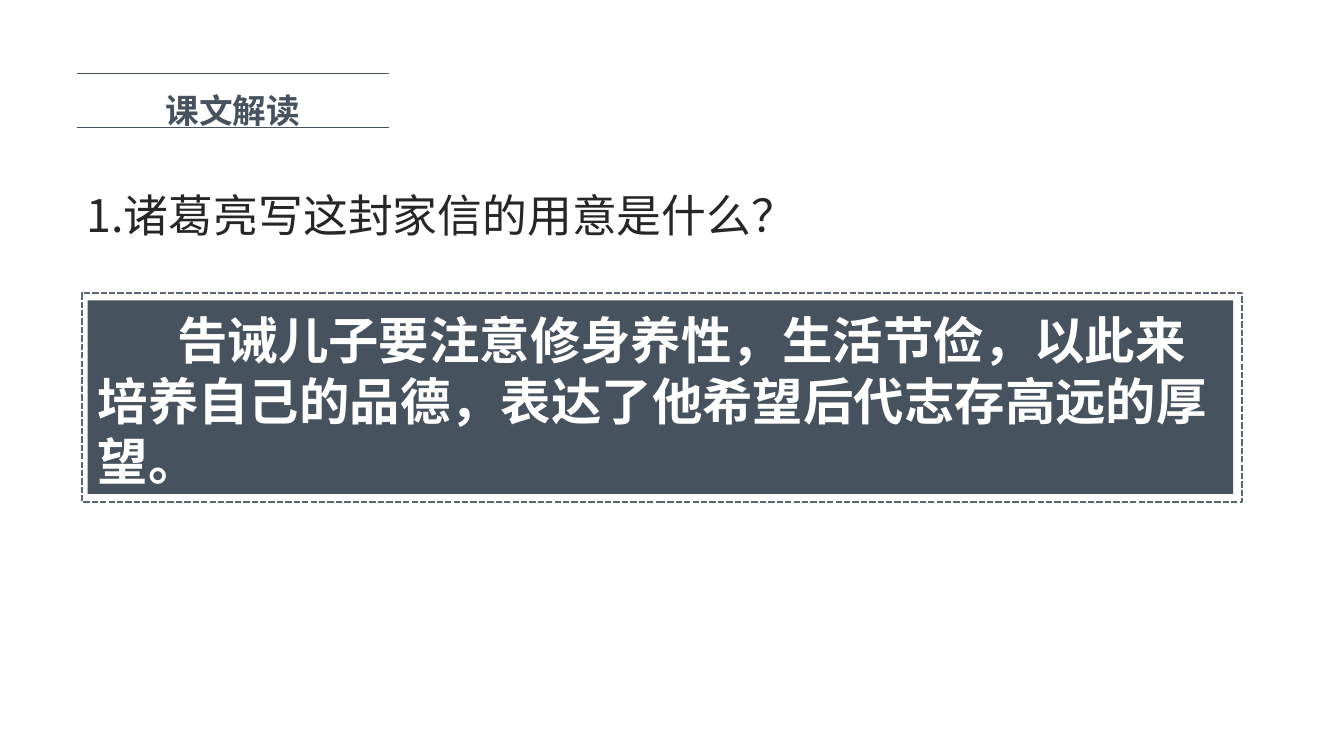
import pptx
import pptx.util
import pptx.dml.color
import pptx.enum.dml
import pptx.enum.shapes
import pptx.enum.text
import pptx.oxml.ns
from dataclasses import dataclass
from lxml import etree

Inches = pptx.util.Inches
Pt = pptx.util.Pt


@dataclass(frozen=True)
class Theme:
    font: str = "Noto Sans CJK SC"
    slate: str = "47525F"
    dash: str = "5A6778"
    ink: str = "262626"
    white: str = "FFFFFF"
    heading_size: int = 24
    question_size: int = 32
    answer_size: int = 36
    leading: float = 1.2


THEME = Theme()


def rgb(value):
    return pptx.dml.color.RGBColor.from_string(value)


def write_text(shape, text, size, color, bold=False, spacing=1, align="LEFT", indent=0):
    """Fill a shape with one paragraph of Chinese text."""
    frame = shape.text_frame
    frame.word_wrap = True
    frame.auto_size = pptx.enum.text.MSO_AUTO_SIZE.NONE
    frame.vertical_anchor = pptx.enum.text.MSO_ANCHOR.TOP
    frame.margin_left = frame.margin_right = Inches(0.1)
    frame.margin_top, frame.margin_bottom = Inches(0.09), Inches(0.01)
    para = frame.paragraphs[0]
    para.alignment = getattr(pptx.enum.text.PP_ALIGN, align)
    para.line_spacing = Pt(size * THEME.leading * spacing)
    para.space_before = Pt(0)
    if indent:
        para._p.get_or_add_pPr().set("indent", str(Inches(indent)))
    span = para.add_run()
    span.text = text
    span.font.size = Pt(size)
    span.font.bold = bold
    span.font.color.rgb = rgb(color)
    span.font.name = THEME.font
    # East Asian typeface
    east_asian = etree.SubElement(span._r.get_or_add_rPr(), pptx.oxml.ns.qn("a:ea"))
    east_asian.set("typeface", THEME.font)


def add_heading(page, left, top, width, height):
    # Section title
    title = page.shapes.title
    title.left, title.top = Inches(left), Inches(top)
    title.width, title.height = Inches(width), Inches(height)
    write_text(title, "课文解读", THEME.heading_size, THEME.slate,
               bold=True, spacing=1.3, align="CENTER")
    # Rules above and below the title
    for y in (top + 0.05, top + height - 0.04):
        rule = page.shapes.add_connector(
            pptx.enum.shapes.MSO_CONNECTOR.STRAIGHT,
            Inches(left), Inches(y), Inches(left + width), Inches(y))
        rule.line.color.rgb = rgb(THEME.slate)
        rule.line.width = Pt(0.5)
        etree.SubElement(rule._element.spPr, pptx.oxml.ns.qn("a:effectLst"))


def add_question(page, left, top, width, height):
    question = page.shapes.add_textbox(
        Inches(left), Inches(top), Inches(width), Inches(height))
    write_text(question, "1.诸葛亮写这封家信的用意是什么？",
               THEME.question_size, THEME.ink)


def add_rectangle(page, left, top, width, height):
    box = page.shapes.add_shape(
        pptx.enum.shapes.MSO_SHAPE.RECTANGLE,
        Inches(left), Inches(top), Inches(width), Inches(height))
    box.shadow.inherit = False
    return box


def add_answer(page, left, top, width, height):
    # Solid panel inside the frame
    panel = add_rectangle(page, left + 0.06, top + 0.07, width - 0.15, height - 0.15)
    panel.fill.solid()
    panel.fill.fore_color.rgb = rgb(THEME.slate)
    panel.line.fill.background()
    write_text(panel, "告诫儿子要注意修身养性，生活节俭，以此来培养自己的品德，"
               "表达了他希望后代志存高远的厚望。",
               THEME.answer_size, THEME.white, bold=True, indent=0.79)
    # Dashed frame
    frame = add_rectangle(page, left, top, width, height)
    frame.fill.background()
    frame.line.color.rgb = rgb(THEME.dash)
    frame.line.width = Pt(1.5)
    frame.line.dash_style = pptx.enum.dml.MSO_LINE.SQUARE_DOT


def main():
    deck = pptx.Presentation()
    deck.slide_width, deck.slide_height = Inches(13.33), Inches(7.5)
    page = deck.slides.add_slide(deck.slide_layouts.get_by_name("Title Only"))
    add_heading(page, 0.76, 0.68, 3.1, 0.62)
    add_question(page, 0.76, 1.77, 7.64, 0.64)
    add_answer(page, 0.81, 2.91, 11.51, 2.07)
    deck.save("out.pptx")


if __name__ == "__main__":
    main()
